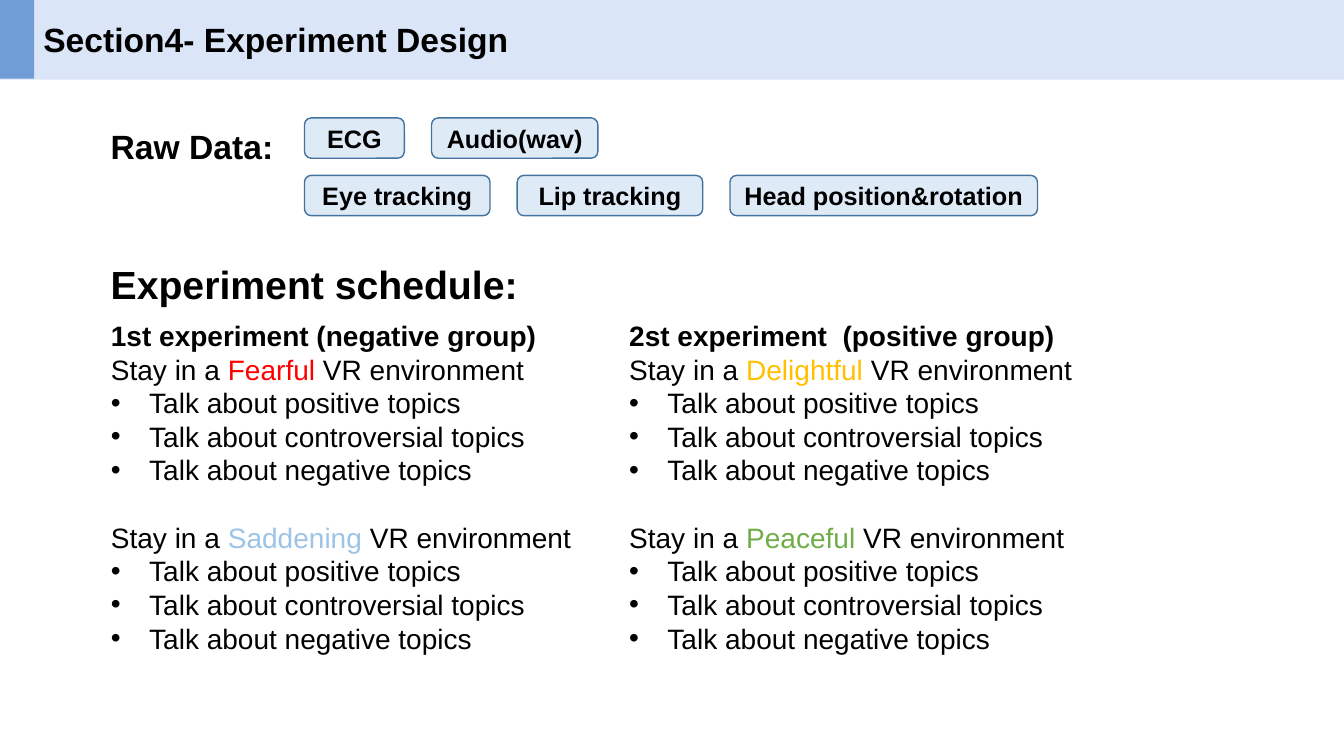
"""Build the experiment design slide with raw data tags and two schedules."""
from lxml import etree
from pptx import Presentation
from pptx.dml.color import RGBColor
from pptx.enum.shapes import MSO_SHAPE
from pptx.enum.text import MSO_ANCHOR, MSO_AUTO_SIZE, PP_ALIGN
from pptx.oxml.ns import qn
from pptx.util import Inches, Pt

RECTANGLE, ROUNDED = MSO_SHAPE.RECTANGLE, MSO_SHAPE.ROUNDED_RECTANGLE
LEFT, CENTER = PP_ALIGN.LEFT, PP_ALIGN.CENTER
TOP, MIDDLE = MSO_ANCHOR.TOP, MSO_ANCHOR.MIDDLE
NO_AUTOFIT = MSO_AUTO_SIZE.NONE

TITLE = "Section4- Experiment Design"
BANDS = [((0, 0, 13.33, 0.79), "DBE5F8"), ((0, 0, 0.34, 0.78), "719DD7")]
HEADINGS = [("Raw Data:", 24, 0), ("Experiment schedule:", 28, 64)]
TAG_ROWS = [
    (1.17, [("ECG", 0.99), ("Audio(wav)", 1.65)]),
    (1.74, [("Eye tracking", 1.84), ("Lip tracking", 1.84),
            ("Head position&rotation", 3.05)]),
]
TAG_LEFT, TAG_GAP, TAG_HEIGHT = 3.02, 0.27, 0.4
TOPICS = ["positive", "controversial", "negative"]
SCHEDULES = [
    ((1, 3.11, 5.05, 3.8), "1st experiment (negative group)",
     [("Fearful", "FF0000"), ("Saddening", "9DC3E6")]),
    ((6.14, 3.11, 5.48, 3.47), "2st experiment  (positive group)",
     [("Delightful", "FFC000"), ("Peaceful", "70AD47")]),
]
LINE_HEIGHT = 24
BULLET_INDENT = 0.38


def color(value):
    """Turn a hex string into a colour."""
    return RGBColor.from_string(value)


def place(shape, box):
    """Set left, top, width and height in inches."""
    for name, length in zip(("left", "top", "width", "height"), box):
        setattr(shape, name, Inches(length))


def set_frame(frame, anchor=TOP):
    """Give a text frame its wrapping and anchoring."""
    formats = {"word_wrap": True, "auto_size": NO_AUTOFIT, "vertical_anchor": anchor}
    for name, value in formats.items():
        setattr(frame, name, value)


def add_run(paragraph, text, size, bold=False, ink="000000"):
    """Add one formatted run."""
    run = paragraph.add_run()
    run.text = text
    formats = {"name": "Arial", "size": Pt(size), "bold": bold}
    for name, value in formats.items():
        setattr(run.font, name, value)
    run.font.color.rgb = color(ink)


def add_shape(slide, kind, box, fill, line=None):
    """Add a filled preset shape."""
    shape = slide.shapes.add_shape(kind, *map(Inches, box))
    shape.shadow.inherit = False
    shape.fill.solid()
    shape.fill.fore_color.rgb = color(fill)
    if line:
        shape.line.color.rgb = color(line)
        shape.line.width = Pt(1)
    else:
        shape.line.fill.background()
    return shape


def next_paragraph(frame):
    """Return the first paragraph while it is empty, else a new one."""
    first = frame.paragraphs[0]
    return frame.add_paragraph() if first.runs else first


def add_line(frame, runs, bullet=False, before=0):
    """Add one schedule line, bulleted or plain."""
    paragraph = next_paragraph(frame)
    formats = {"line_spacing": Pt(LINE_HEIGHT), "space_before": Pt(before),
               "alignment": LEFT}
    for name, value in formats.items():
        setattr(paragraph, name, value)
    indent = Inches(BULLET_INDENT) if bullet else 0
    properties = paragraph._p.get_or_add_pPr()
    properties.set("marL", str(indent))
    properties.set("indent", str(-indent))
    if not bullet:
        etree.SubElement(properties, qn("a:buNone"))
    for text, bold, ink in runs:
        add_run(paragraph, text, 20, bold, ink)


def add_schedule(placeholder, box, heading, moods):
    """Fill a body placeholder with one experiment."""
    place(placeholder, box)
    frame = placeholder.text_frame
    set_frame(frame)
    add_line(frame, [(heading, True, "000000")])
    for index, (mood, ink) in enumerate(moods):
        runs = [("Stay in a ", False, "000000"), (mood, False, ink),
                (" VR environment", False, "000000")]
        add_line(frame, runs, before=index * LINE_HEIGHT)
        for topic in TOPICS:
            add_line(frame, [(f"Talk about {topic} topics", False, "000000")], bullet=True)


def add_title(slide):
    """Draw the header bands and set the title above them."""
    for box, fill in BANDS:
        add_shape(slide, RECTANGLE, box, fill)
    title = slide.shapes.title
    slide.shapes.element.append(title.element)
    place(title, (0.33, 0.14, 5.4, 0.5))
    set_frame(title.text_frame)
    paragraph = title.text_frame.paragraphs[0]
    paragraph.alignment = LEFT
    add_run(paragraph, TITLE, 24, True)


def add_headings(slide):
    """Write the two section headings."""
    box = slide.shapes.add_textbox(*map(Inches, (1, 1.16, 11.34, 1.95)))
    set_frame(box.text_frame)
    for text, size, before in HEADINGS:
        paragraph = next_paragraph(box.text_frame)
        paragraph.line_spacing = 1.1
        paragraph.space_before = Pt(before)
        add_run(paragraph, text, size, True)


def add_tags(slide):
    """Lay out the raw data tags row by row."""
    for top, tags in TAG_ROWS:
        left = TAG_LEFT
        for text, width in tags:
            tag = add_shape(slide, ROUNDED, (left, top, width, TAG_HEIGHT),
                            "DEEBF7", "43739E")
            set_frame(tag.text_frame, MIDDLE)
            paragraph = tag.text_frame.paragraphs[0]
            paragraph.alignment = CENTER
            add_run(paragraph, text, 18, True)
            left += width + TAG_GAP


def main():
    """Assemble and save the slide."""
    presentation = Presentation()
    presentation.slide_width = Inches(13.33)
    presentation.slide_height = Inches(7.5)
    slide = presentation.slides.add_slide(presentation.slide_layouts.get_by_name("Two Content"))
    add_title(slide)
    add_headings(slide)
    add_tags(slide)
    for index, schedule in enumerate(SCHEDULES, start=1):
        add_schedule(slide.placeholders[index], *schedule)
    presentation.save("out.pptx")


if __name__ == "__main__":
    main()
